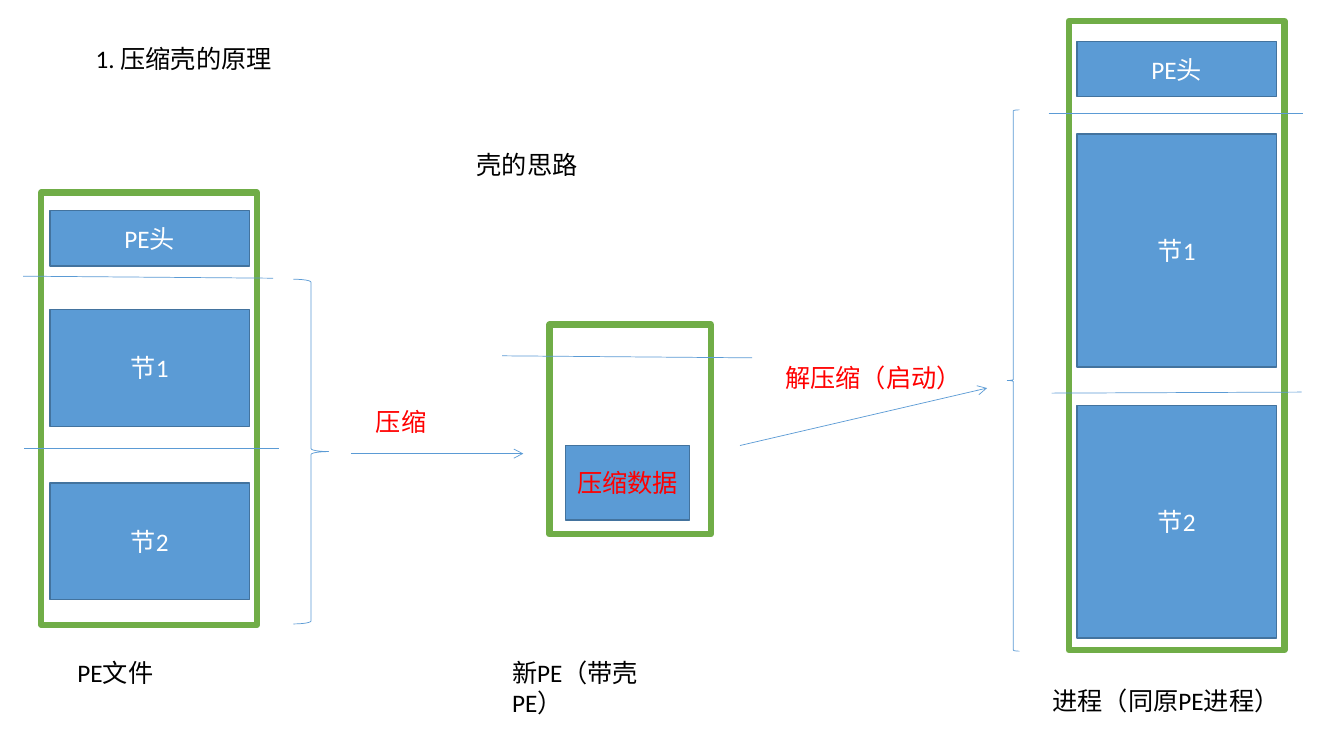
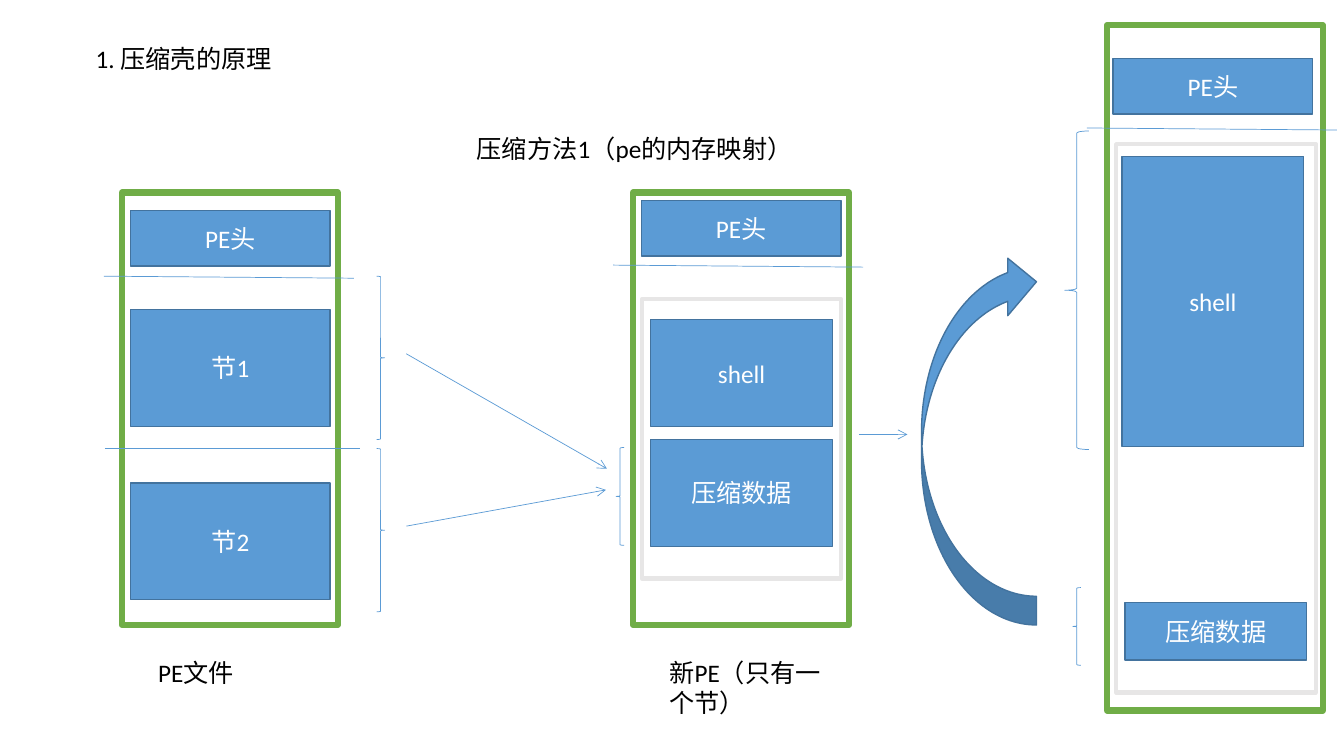
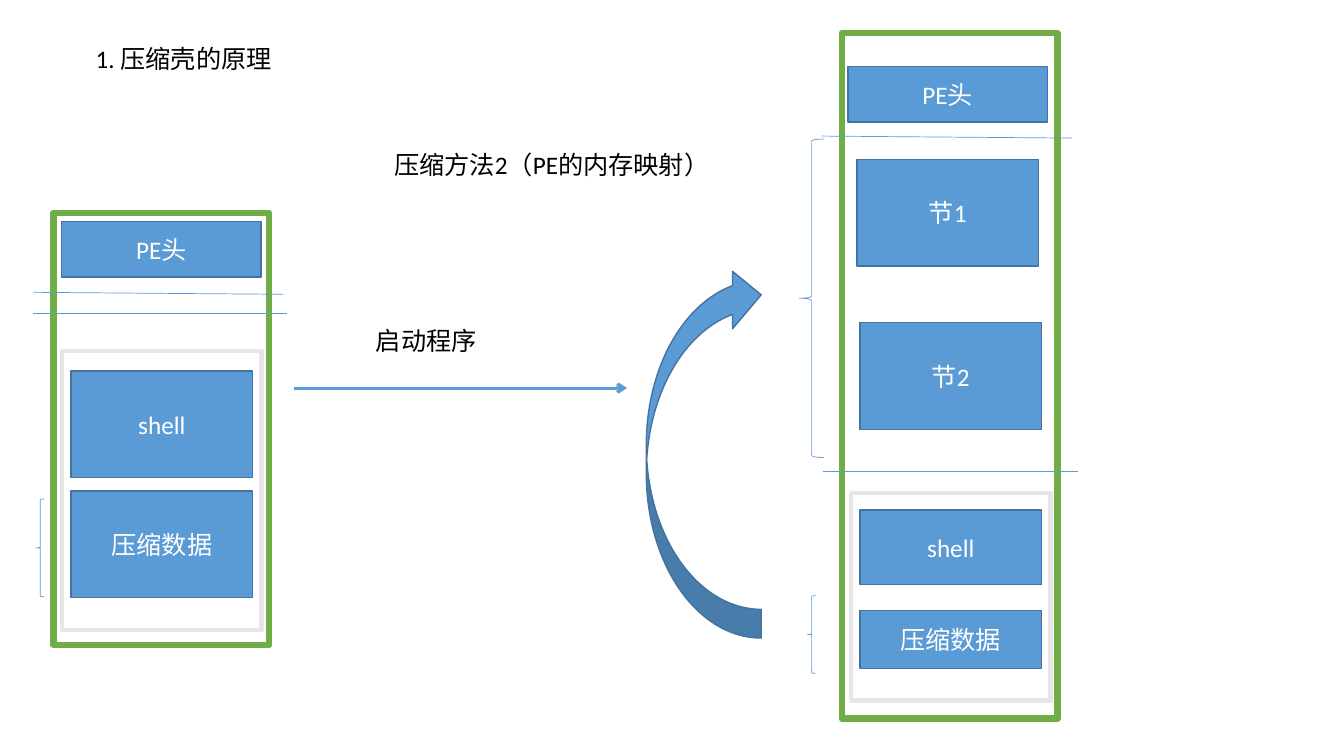
from pptx import Presentation
from pptx.dml.color import RGBColor
from pptx.enum.shapes import MSO_CONNECTOR, MSO_SHAPE
from pptx.enum.text import MSO_ANCHOR, MSO_AUTO_SIZE, PP_ALIGN
from pptx.oxml.ns import qn
from pptx.util import Inches, Pt
from lxml.etree import SubElement

COLORS = {
    "paper": "FFFFFF",
    "ink": "000000",
    "alert": "FF0000",
    "block": "5B9BD5",
    "edge": "43739E",
    "frame": "70AD47",
    "section": "E7E6E6",
}
CELL = 0.1
FRAME_WIDTH = 21.4
BLOCK_WIDTH = 19.8
INNER_WIDTH = 18
HEADER_HEIGHT = 5.5
FONT = {"name": "Calibri", "size": Pt(18)}
CAPTION = {"word_wrap": True, "auto_size": MSO_AUTO_SIZE.SHAPE_TO_FIT_TEXT}
LABEL = {"word_wrap": True, "vertical_anchor": MSO_ANCHOR.MIDDLE}
CENTERED = {"alignment": PP_ALIGN.CENTER}


def cells(*counts):
    return [Inches(count * CELL) for count in counts]


def color(name):
    return RGBColor.from_string(COLORS[name])


def apply(target, formats):
    for attribute, value in formats.items():
        setattr(target, attribute, value)


def stroke(line, name, width):
    line.color.rgb = color(name)
    line.width = Pt(width)


def write(text_frame, words, ink, frame_formats, paragraph_formats):
    apply(text_frame, frame_formats)
    paragraph = text_frame.paragraphs[0]
    apply(paragraph, paragraph_formats)
    run = paragraph.add_run()
    run.text = words
    apply(run.font, FONT)
    run.font.color.rgb = color(ink)


def outline(slide, kind, area, fill, edge, width):
    figure = slide.shapes.add_shape(kind, *cells(*area))
    figure.shadow.inherit = False
    if fill:
        figure.fill.solid()
        figure.fill.fore_color.rgb = color(fill)
    else:
        figure.fill.background()
    stroke(figure.line, edge, width)
    return figure


def frame(slide, left, top, height, width=FRAME_WIDTH):
    outline(slide, MSO_SHAPE.RECTANGLE, (left, top, width, height), "paper", "frame", 4.5)


def section(slide, left, top, height):
    outline(slide, MSO_SHAPE.RECTANGLE, (left, top, BLOCK_WIDTH, height), "paper", "section", 3)


def block(slide, words, left, top, height, width=BLOCK_WIDTH, ink="paper"):
    body = outline(slide, MSO_SHAPE.RECTANGLE, (left, top, width, height), "block", "edge", 1)
    write(body.text_frame, words, ink, LABEL, CENTERED)


def header(slide, left, top):
    block(slide, "PE头", left, top, HEADER_HEIGHT)


def brace(slide, left, top, width, height, kind=MSO_SHAPE.LEFT_BRACE):
    outline(slide, kind, (left, top, width, height), None, "block", 0.5)


def rule(slide, left, top, right, bottom, width=0.5, pointed=False):
    link = slide.shapes.add_connector(MSO_CONNECTOR.STRAIGHT, *cells(left, top, right, bottom))
    stroke(link.line, "block", width)
    if pointed:
        SubElement(link.line._get_or_add_ln(), qn("a:tailEnd"), type="arrow")
    SubElement(link._element.spPr, qn("a:effectLst"))


def divider(slide, left, top, drop=0.2, width=24.8):
    rule(slide, left, top, left + width, top + drop)


def arrow(slide, left, top, right, bottom, width=0.5):
    rule(slide, left, top, right, bottom, width, True)


def caption(slide, words, left, top, width, height=4, ink="ink"):
    box = slide.shapes.add_textbox(*cells(left, top, width, height))
    write(box.text_frame, words, ink, CAPTION, {})


def topic_slide(deck):
    slide = deck.slides.add_slide(deck.slide_layouts[6])
    caption(slide, "1. 压缩壳的原理", 8.5, 3.8, 35.2)
    return slide


def plain_file(slide, left):
    frame(slide, left, 19.1, 42.9)
    header(slide, left + 0.85, 20.9)
    divider(slide, left - 1.8, 27.4)
    for number, top in enumerate((30.7, 47.9), 1):
        block(slide, f"节{number}", left + 0.85, top, 11.6)
    divider(slide, left - 1.7, 44.5, 0, 25.3)
    caption(slide, "PE文件", left + 2.6, 64.7, 13.5)


def packed_file(slide, left, top, header_drop, divider_drop, section_drop):
    frame(slide, left, top, 42.9)
    header(slide, left + 0.8, top + header_drop)
    divider(slide, left - 2, top + divider_drop)
    section(slide, left + 0.85, top + section_drop, 27.7)
    for words, drop in (("shell", 2), ("压缩数据", 13.9)):
        block(slide, words, left + 1.75, top + section_drop + drop, 10.6, INNER_WIDTH)
    brace(slide, left - 1.7, top + section_drop + 14.7, 0.8, 9.7)


def loaded_process(slide, left, top, section_top, section_height, blocks):
    frame(slide, left, top, 68)
    divider(slide, left - 2, top + 10.2)
    header(slide, left + 0.6, top + 3.3)
    section(slide, left + 0.9, section_top, section_height)
    for words, indent, block_top, height in blocks:
        block(slide, words, left + indent, block_top, height, INNER_WIDTH)
    brace(slide, left - 3.4, top + 55.8, 0.8, 7.7)
    brace(slide, left - 4.2, top + 10.5, 2.4, 31.6)


def unpack_turn(slide, left, top):
    turn = outline(slide, MSO_SHAPE.CURVED_LEFT_ARROW, (left, top, 11.4, 36.9),
                   "block", "edge", 1)
    turn.rotation = 180


def idea_slide(deck):
    slide = topic_slide(deck)
    caption(slide, "壳的思路", 46.3, 14.3, 25.8)
    plain_file(slide, 4.1)
    brace(slide, 29.1, 27.7, 3.5, 34.2, MSO_SHAPE.RIGHT_BRACE)

    frame(slide, 54.5, 32.2, 20.8, 16)
    divider(slide, 49.8, 35.3)
    block(slide, "压缩数据", 56.1, 44.2, 7.4, 12.3, "alert")
    caption(slide, "新PE（带壳PE）", 49.8, 64.7, 18.5)

    frame(slide, 106, 2.1, 62.4)
    header(slide, 106.8, 4.1)
    divider(slide, 104, 11.2, 0, 25.2)
    for number, top in enumerate((13.3, 40.2), 1):
        block(slide, f"节{number}", 106.8, top, 23.1)
    divider(slide, 104.3, 39, -0.1)
    brace(slide, 99.9, 10.9, 1.2, 53.7)
    caption(slide, "进程（同原PE进程）", 103.4, 67.5, 25.7)

    arrow(slide, 34.8, 45, 51.9, 45)
    arrow(slide, 73.4, 44.2, 97.9, 38.5)
    caption(slide, "压缩", 36.3, 39.8, 11.7, ink="alert")
    caption(slide, "解压缩（启动）", 76.9, 35.5, 21, ink="alert")


def first_method_slide(deck):
    slide = topic_slide(deck)
    caption(slide, "压缩方法1（pe的内存映射）", 46.3, 12.7, 37.1)
    plain_file(slide, 12.1)
    for top in (27.4, 44.5):
        brace(slide, 37.35, top, 0.8, 16.2, MSO_SHAPE.RIGHT_BRACE)
    arrow(slide, 40.3, 35.1, 60.2, 46.5)
    arrow(slide, 40.3, 52.2, 60.1, 48.6)
    packed_file(slide, 62.8, 19.1, 0.8, 7.2, 10.6)
    caption(slide, "新PE（只有一个节）", 65.4, 64.7, 18.9, 7)
    arrow(slide, 85.2, 43.1, 90, 43.1)
    unpack_turn(slide, 91.4, 25.1)
    loaded_process(slide, 109.8, 2.5, 14.3, 54.4, (
        ("shell", 1.5, 15.5, 28.8),
        ("压缩数据", 1.8, 59.8, 5.7),
    ))


def second_method_slide(deck):
    slide = topic_slide(deck)
    caption(slide, "压缩方法2（PE的内存映射）", 38.1, 14.3, 34)
    packed_file(slide, 5.3, 21.1, 0.9, 7.9, 13.7)
    divider(slide, 3.3, 31.1, 0, 25.2)
    caption(slide, "启动程序", 36.3, 31.8, 13.9)
    arrow(slide, 29.2, 38.5, 62.2, 38.5, 2.25)
    unpack_turn(slide, 64.1, 26.4)
    loaded_process(slide, 83.5, 3.3, 48.9, 20.6, (
        ("节1", 1.5, 15.8, 10.6),
        ("节2", 1.8, 32, 10.6),
        ("shell", 1.8, 50.6, 7.4),
        ("压缩数据", 1.8, 60.6, 5.7),
    ))
    divider(slide, 81.6, 46.8, 0, 25.3)


def main():
    deck = Presentation()
    apply(deck, {"slide_width": Inches(13.33), "slide_height": Inches(7.5)})
    for build in (idea_slide, first_method_slide, second_method_slide):
        build(deck)
    deck.save("out.pptx")


main()
